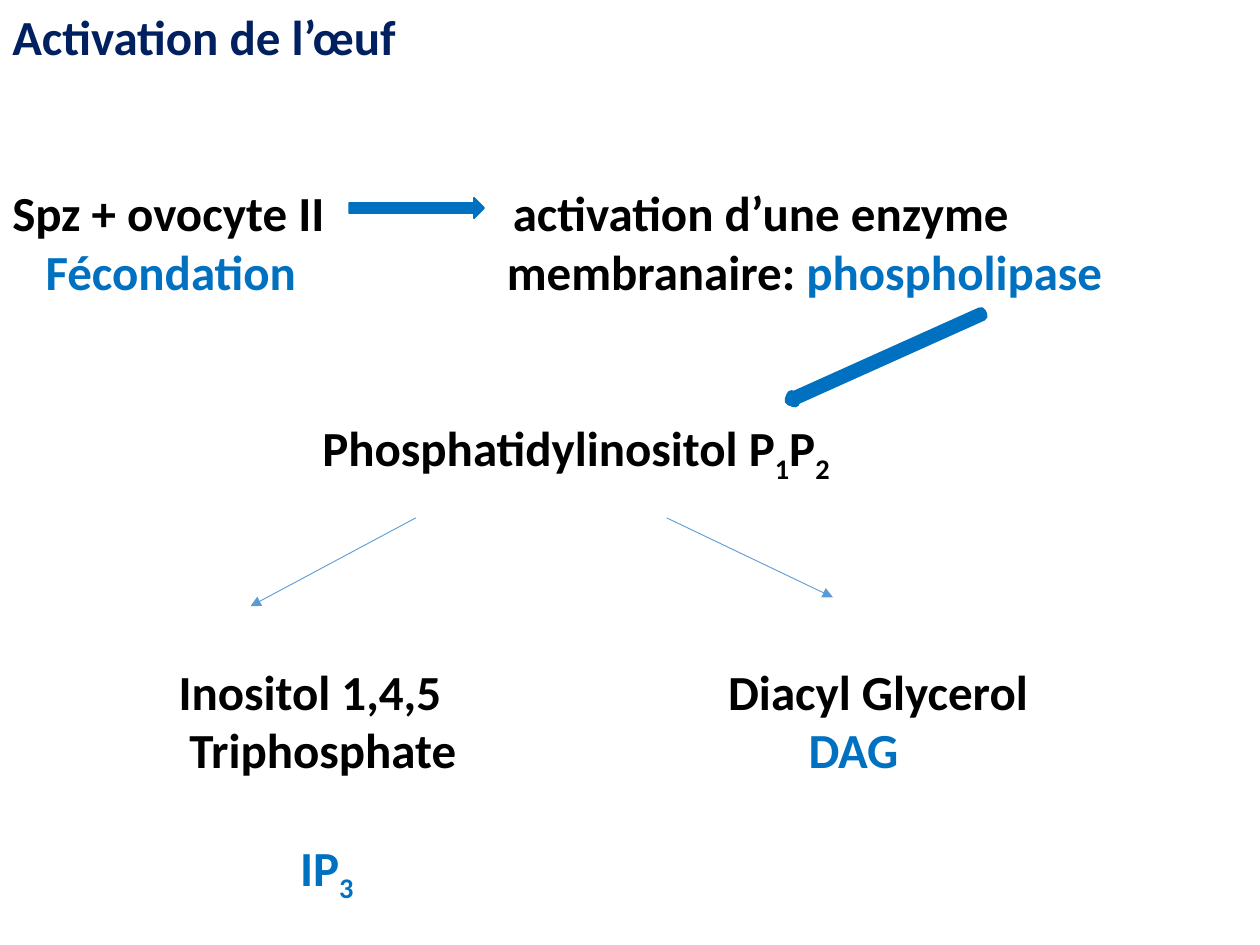
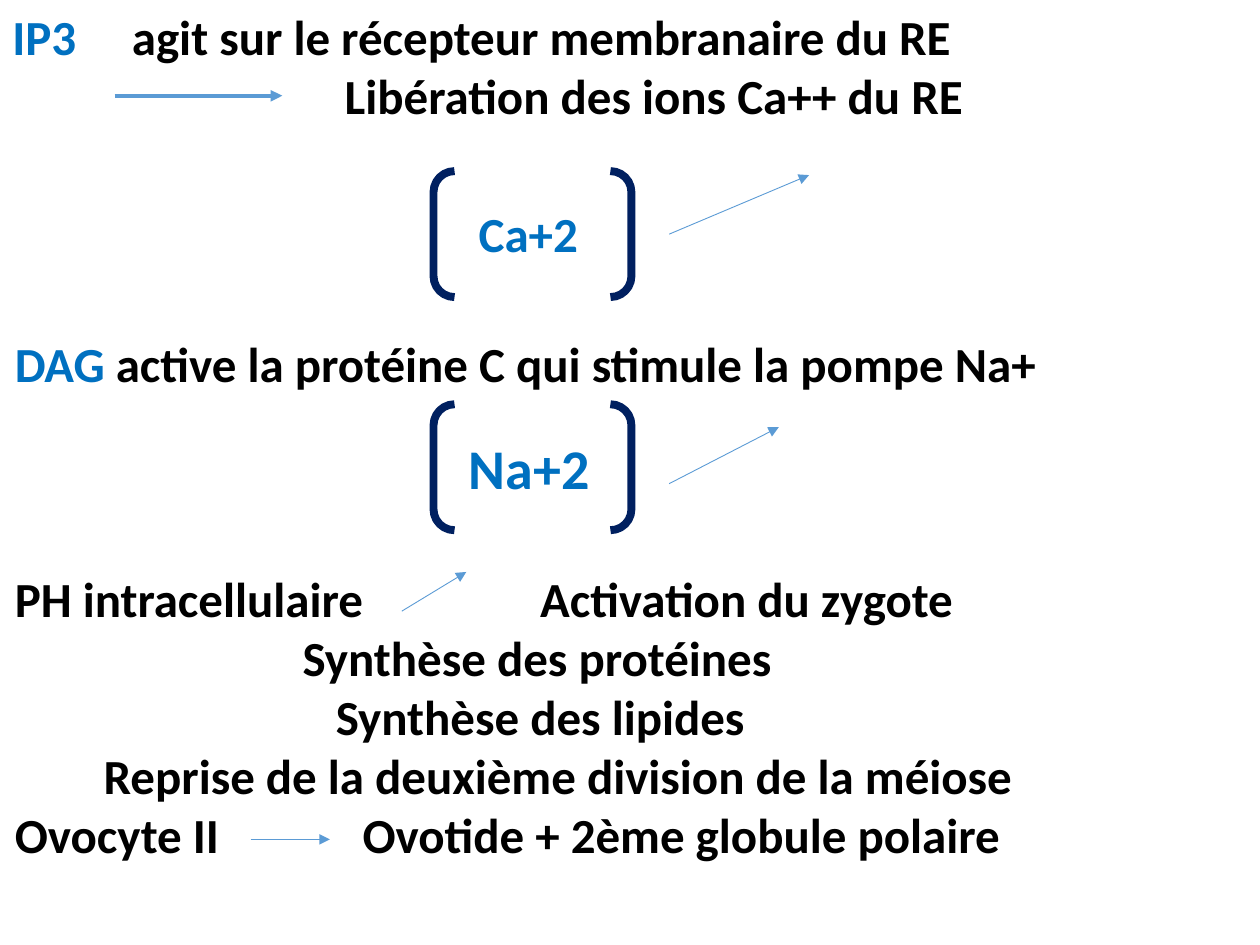
from lxml import etree
from pptx import Presentation
from pptx.dml.color import RGBColor
from pptx.enum.shapes import MSO_CONNECTOR, MSO_SHAPE
from pptx.enum.text import MSO_ANCHOR
from pptx.oxml.ns import qn
from pptx.util import Cm, Pt

COLORS = {"navy": "002060", "blue": "0070C0", "black": "000000",
          "arrow": "5B9BD5", "red": "FF0000"}
RGB = {name: RGBColor.from_string(value) for name, value in COLORS.items()}
FONT = "Calibri"
ROW = 1.185  # line pitch in cm
TOP = 0.13   # first line of a slide
LEFT = 0.25


def add_line_of_text(s, x, y, *runs, size=28):
    """Place one line; each run is (text, colour) or (text, colour, "sub")."""
    tb = s.shapes.add_textbox(Cm(x), Cm(y), Cm(25.4 - x), Cm(ROW))
    tf = tb.text_frame
    tf.word_wrap = True
    tf.vertical_anchor = MSO_ANCHOR.TOP
    tf.margin_left = tf.margin_right = tf.margin_top = tf.margin_bottom = 0
    for text, color, *sub in runs:
        r = tf.paragraphs[0].add_run()
        r.text = text
        r.font.name, r.font.size, r.font.bold = FONT, Pt(size), True
        r.font.color.rgb = RGB[color]
        if sub:
            r.font._element.set("baseline", "-25000")


def add_arrow(s, x1, y1, x2, y2, width=0.5):
    c = s.shapes.add_connector(MSO_CONNECTOR.STRAIGHT, Cm(x1), Cm(y1), Cm(x2), Cm(y2))
    c.line.color.rgb = RGB["arrow"]
    c.line.width = Pt(width)
    etree.SubElement(c.line._get_or_add_ln(), qn("a:tailEnd"), type="triangle")
    etree.SubElement(c._element.spPr, qn("a:effectLst"))


prs = Presentation()
prs.slide_width, prs.slide_height = Cm(25.4), Cm(19.05)
blank = prs.slide_layouts[6]

# Slide 1: from fertilisation to IP3 and DAG
s = prs.slides.add_slide(blank)
fertilisation = TOP + 3 * ROW
enzyme = TOP + 4 * ROW
lipid = TOP + 7 * ROW
products = 13.33
for x, y, *runs in [
    (LEFT, TOP, ("Activation de l’œuf", "navy")),
    (LEFT, fertilisation, ("Spz + ovocyte II", "black")),
    (10.34, fertilisation, ("activation d’une enzyme", "black")),
    (0.92, enzyme, ("Fécondation", "blue")),
    (10.22, enzyme, ("membranaire: ", "black"), ("phospholipase", "blue")),
    (6.5, lipid, ("Phosphatidylinositol P", "black"), ("1", "black", "sub"),
     ("P", "black"), ("2", "black", "sub")),
    (3.6, products, ("Inositol 1,4,5", "black")),
    (14.68, products, ("Diacyl Glycerol", "black")),
    (3.82, products + ROW, ("Triphosphate", "black")),
    (16.3, products + ROW, ("DAG", "blue")),
    (6.05, products + 3 * ROW, ("IP", "blue"), ("3", "blue", "sub")),
]:
    add_line_of_text(s, x, y, *runs)

for kind, x, y, w, h, rotation, fill, width in [
    (MSO_SHAPE.RIGHT_ARROW, 7.04, 3.99, 2.72, 0.41, 0, "blue", 1),
    (MSO_SHAPE.DOWN_ARROW, 17.78, 5.08, 0.15, 4.24, 65.8, "red", 6),
]:
    sp = s.shapes.add_shape(kind, Cm(x), Cm(y), Cm(w), Cm(h))
    sp.shadow.inherit = False
    sp.rotation = rotation
    sp.fill.solid()
    sp.fill.fore_color.rgb = RGB[fill]
    sp.line.color.rgb = RGB["blue"]
    sp.line.width = Pt(width)

add_arrow(s, 8.38, 10.44, 5.05, 12.22)
add_arrow(s, 13.44, 10.44, 16.79, 12.04)

# Slide 2: effects of IP3 and DAG
s = prs.slides.add_slide(blank)
dag = 6.73
effects = dag + 4 * ROW
for x, y, *runs in [
    (LEFT, TOP, ("IP3", "blue")),
    (2.66, TOP, ("agit sur le récepteur membranaire du RE", "black")),
    (6.95, TOP + ROW, ("Libération des ions Ca++ du RE", "black")),
    (0.3, dag, ("DAG ", "blue"),
     ("active la protéine C qui stimule la pompe Na+", "black")),
    (0.3, effects, ("PH intracellulaire", "black")),
    (10.89, effects, ("Activation du zygote", "black")),
    (6.1, effects + ROW, ("Synthèse des protéines", "black")),
    (6.77, effects + 2 * ROW, ("Synthèse des lipides", "black")),
    (2.09, effects + 3 * ROW, ("Reprise de la deuxième division de la méiose", "black")),
    (0.3, effects + 4 * ROW, ("Ovocyte II", "black")),
    (7.31, effects + 4 * ROW, ("Ovotide + 2ème globule polaire", "black")),
]:
    add_line_of_text(s, x, y, *runs)

for ion, bracket_y, x, y, size in [("Ca+2", 3.45, 9.65, 4.11, 28),
                                   ("Na+2", 8.15, 9.45, 8.74, 32)]:
    sp = s.shapes.add_shape(MSO_SHAPE.DOUBLE_BRACKET, Cm(8.74), Cm(bracket_y),
                            Cm(3.99), Cm(2.54))
    sp.shadow.inherit = False
    sp.fill.background()
    sp.line.color.rgb = RGB["navy"]
    sp.line.width = Pt(4.5)
    add_line_of_text(s, x, y, (ion, "blue"), size=size)

add_arrow(s, 2.31, 1.93, 5.69, 1.93, width=2.25)
for ends in [(13.49, 4.72, 16.31, 3.53), (13.49, 9.75, 15.7, 8.61),
             (8.1, 12.32, 9.4, 11.53), (5.05, 16.92, 6.65, 16.92)]:
    add_arrow(s, *ends)

prs.save("out.pptx")
